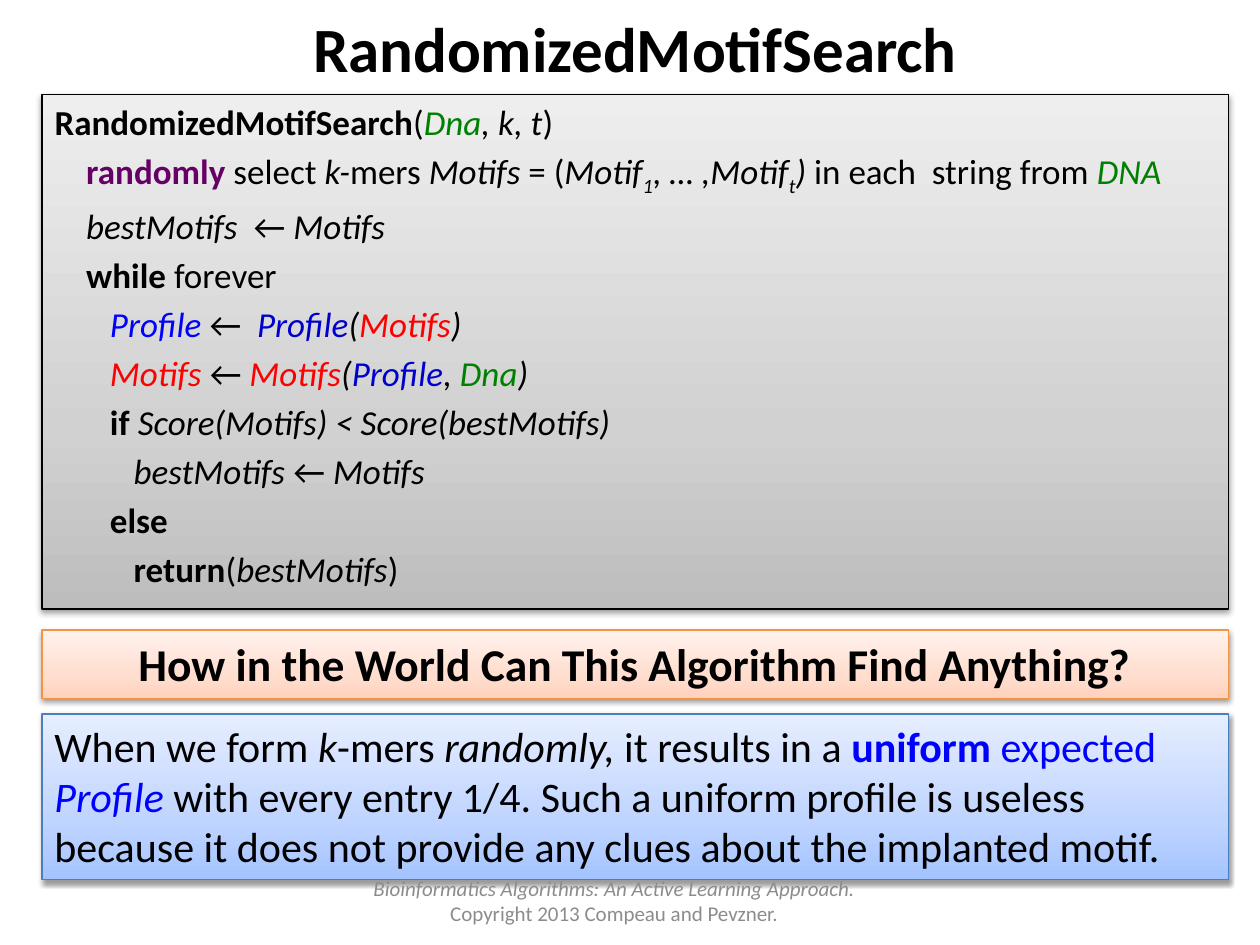
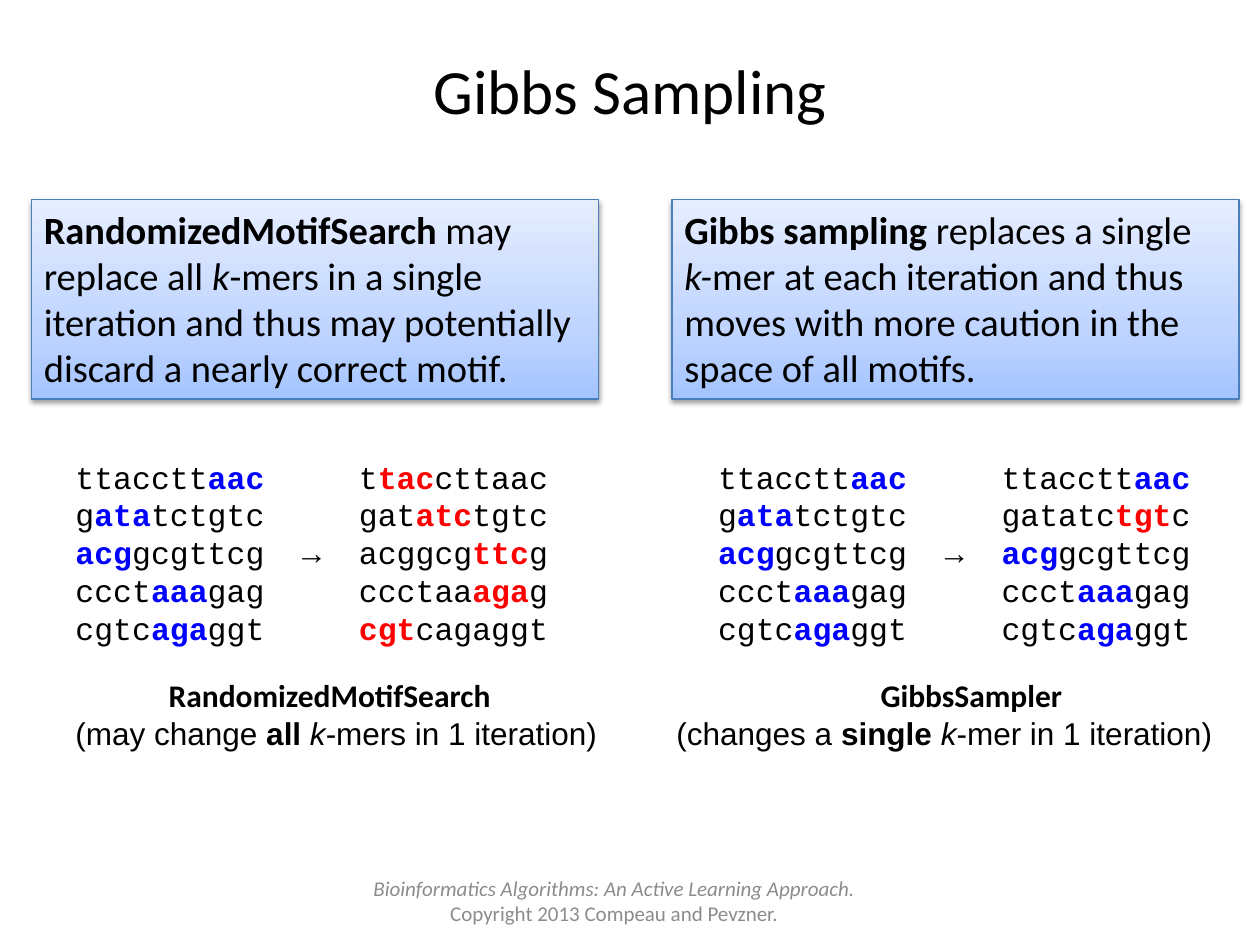
from copy import deepcopy
from dataclasses import dataclass
from typing import NamedTuple

from lxml import etree
from pptx import Presentation
from pptx.dml.color import RGBColor
from pptx.enum.shapes import MSO_SHAPE
from pptx.enum.text import MSO_ANCHOR, MSO_AUTO_SIZE, PP_ALIGN
from pptx.oxml.ns import qn
from pptx.util import Inches, Pt

RECT = MSO_SHAPE.RECTANGLE
TOP, MIDDLE = MSO_ANCHOR.TOP, MSO_ANCHOR.MIDDLE
LEFT, CENTER = PP_ALIGN.LEFT, PP_ALIGN.CENTER
FIXED = MSO_AUTO_SIZE.NONE
CELL = Inches(1) // 12


class Skin(NamedTuple):
    stops: tuple[str, str, str]
    edge: str


@dataclass(frozen=True)
class Theme:
    black: str = "000000"
    gray: str = "8C8C8C"
    green: str = "008000"
    plum: str = "660066"
    blue: str = "0000FF"
    navy: str = "0000CC"
    red: str = "FF0000"
    steel: Skin = Skin(("BDBDBD", "D1D1D1", "EEEEEE"), "000000")
    peach: Skin = Skin(("FFD2BD", "FFDED0", "FFF2ED"), "F69240")
    sky: Skin = Skin(("A4C4FF", "BFD4FF", "E6EEFF"), "4B7EBC")
    font: str = "Calibri"
    plain: str = "Arial"
    mono: str = "Courier New"
    title: int = 36
    ask: int = 26
    note: int = 24
    card: int = 22
    code: int = 20
    dna: int = 18
    foot: int = 12


ART = Theme()
PITCH = Pt(ART.dna * 0.6)


class Box(NamedTuple):
    col: float
    row: float
    wide: float
    high: float

    def spot(self) -> list[int]:
        return [int(n * CELL) for n in self]


class Bit(NamedTuple):
    text: str
    look: str = ""
    tone: str = ART.black


class Card(NamedTuple):
    box: Box
    skin: Skin
    size: int
    bits: list[Bit]
    align: int = LEFT


def write(para, bits: list[Bit], size: int, font: str = ART.font) -> None:
    for bit in bits:
        run = para.add_run()
        run.text = bit.text
        run.font.name, run.font.size = font, Pt(size)
        run.font.bold, run.font.italic = "b" in bit.look, "i" in bit.look
        run.font.color.rgb = RGBColor.from_string(bit.tone)
        if "s" in bit.look:
            run._r.get_or_add_rPr().set("baseline", "-25000")


def frame(shape, anchor=TOP):
    text = shape.text_frame
    text.word_wrap, text.auto_size = True, FIXED
    text.vertical_anchor = anchor
    return text


def line(text, first: bool):
    return text.paragraphs[0] if first else text.add_paragraph()


def place(shape, box: Box) -> None:
    shape.left, shape.top, shape.width, shape.height = box.spot()


def paint(shape, skin: Skin) -> None:
    fill = shape.fill
    fill.gradient()
    fill.gradient_angle = 90
    stops = shape._element.spPr.find(".//" + qn("a:gsLst"))
    stops.append(deepcopy(stops[0]))
    for stop, at, tone in zip(fill.gradient_stops, (0, 0.35, 1), skin.stops):
        stop.position = at
        stop.color.rgb = RGBColor.from_string(tone)
    shape.line.color.rgb = RGBColor.from_string(skin.edge)
    shape.line.width = Pt(0.75)
    shape.shadow.inherit = False
    list_ = shape._element.spPr.find(qn("a:effectLst"))
    shade = etree.SubElement(list_, qn("a:outerShdw"), blurRad=str(Pt(3.1)),
                             dist=str(Pt(1.6)), dir="5400000", rotWithShape="0")
    tone = etree.SubElement(shade, qn("a:srgbClr"), val=ART.black)
    etree.SubElement(tone, qn("a:alpha"), val="38000")


def head(slide, box: Box, words: str, look: str = "") -> None:
    place(slide.shapes.title, box)
    para = frame(slide.shapes.title, MIDDLE).paragraphs[0]
    para.alignment = CENTER
    write(para, [Bit(words, look)], ART.title)


def foot(slide) -> None:
    area = slide.shapes.add_textbox(*Box(31, 83.4, 55, 4.8).spot())
    text = frame(area, MIDDLE)
    rows = [("Bioinformatics Algorithms: An Active Learning Approach.", "i"),
            ("Copyright 2013 Compeau and Pevzner.", "")]
    for n, (words, look) in enumerate(rows):
        para = line(text, n == 0)
        para.alignment = CENTER
        write(para, [Bit(words, look, ART.gray)], ART.foot)


def panel(slide, card: Card) -> None:
    shape = slide.shapes.add_shape(RECT, *card.box.spot())
    paint(shape, card.skin)
    para = frame(shape).paragraphs[0]
    para.alignment = card.align
    write(para, card.bits, card.size)


CODE = [
    [Bit("RandomizedMotifSearch", "b"), Bit("("), Bit("Dna", "i", ART.green),
     Bit(", k, t", "i"), Bit(")")],
    [Bit("    randomly ", "b", ART.plum), Bit("select "), Bit("k-", "i"),
     Bit("mers "), Bit("Motifs ", "i"), Bit("= ("), Bit("Motif", "i"),
     Bit("1", "is"), Bit(", … ,Motif", "i"), Bit("t", "is"), Bit(") ", "i"),
     Bit("in each  string from "), Bit("DNA", "i", ART.green)],
    [Bit("    bestMotifs  ", "i"), Bit("← "), Bit("Motifs", "i")],
    [Bit("    while ", "b"), Bit("forever")],
    [Bit("       Profile ", "i", ART.blue), Bit("←  "),
     Bit("Profile", "i", ART.navy), Bit("(", "i"),
     Bit("Motifs", "i", ART.red), Bit(")", "i")],
    [Bit("       Motifs ", "i", ART.red), Bit("← "),
     Bit("Motifs", "i", ART.red), Bit("(", "i"),
     Bit("Profile", "i", ART.navy), Bit(", ", "i"),
     Bit("Dna", "i", ART.green), Bit(")", "i")],
    [Bit("       if ", "b"), Bit("Score(Motifs) < Score(bestMotifs)", "i")],
    [Bit("          bestMotifs ", "i"), Bit("← "), Bit("Motifs", "i")],
    [Bit("       else", "b")],
    [Bit("          return", "b"), Bit("("), Bit("bestMotifs", "i"), Bit(")")],
]

NOTES = [
    Card(Box(4, 60, 113, 6.5), ART.peach, ART.ask,
         [Bit("How in the World Can This Algorithm Find Anything?", "b")], CENTER),
    Card(Box(4, 68, 113, 15.75), ART.sky, ART.note,
         [Bit("When we form "), Bit("k", "i"), Bit("-mers "),
          Bit("randomly,", "i"), Bit(" it results in a "),
          Bit("uniform", "b", ART.blue), Bit(" expected ", "", ART.blue),
          Bit("Profile ", "i", ART.blue),
          Bit("with every entry 1/4. Such a uniform profile is useless because "
              "it does not provide any clues about the implanted motif.")]),
]

PAIR = [
    Card(Box(3, 19, 54, 19), ART.sky, ART.card,
         [Bit("RandomizedMotifSearch", "b"), Bit(" may replace all "),
          Bit("k", "i"),
          Bit("-mers in a single iteration and thus may potentially "
              "discard a nearly correct motif.")]),
    Card(Box(64, 19, 54, 19), ART.sky, ART.card,
         [Bit("Gibbs sampling", "b"), Bit(" replaces a single "),
          Bit("k-", "i"),
          Bit("mer at each iteration and thus moves with more caution "
              "in the space of all motifs.")]),
]

DNA = ["ttaccttaac", "gatatctgtc", "acggcgttcg", "ccctaaagag", "cgtcagaggt"]
OLD = [7, 1, 0, 4, 4]
ALL = [1, 3, 6, 6, 0]
ONE = [7, 6, 0, 4, 4]
STEPS = [OLD, ALL, OLD, ONE]
MER = 3
STARTS = [15, 34, 49]
ARROWS = [12, 46]


def motif(row: int, at: int) -> list[Bit]:
    word, end = DNA[row], at + MER
    tone = ART.blue if at == OLD[row] else ART.red
    bits = [Bit(word[:at]), Bit(word[at:end], "b", tone), Bit(word[end:])]
    return [bit for bit in bits if bit.text]


def tabs(para, stops: list[int]) -> None:
    rule = etree.SubElement(para._p.get_or_add_pPr(), qn("a:tabLst"))
    for stop in stops:
        etree.SubElement(rule, qn("a:tab"), pos=str(int(stop)), algn="l")


def strands(slide) -> None:
    area = slide.shapes.add_textbox(*Box(6, 43, 111, 29.5).spot())
    text = frame(area)
    mid = len(DNA) // 2
    for row in range(len(DNA)):
        para = line(text, row == 0)
        spots = sorted(STARTS + ARROWS) if row == mid else STARTS
        tabs(para, [n * PITCH for n in spots])
        for n, step in enumerate(STEPS):
            if n:
                arrow = row == mid and n % 2
                write(para, [Bit("\t→\t" if arrow else "\t")], ART.dna, ART.mono)
            write(para, motif(row, step[row]), ART.dna, ART.mono)
    names = text.add_paragraph()
    names.space_before = Pt(17)
    tabs(names, [Inches(0.74), Inches(6.39)])
    write(names, [Bit("\tRandomizedMotifSearch\tGibbsSampler", "b")], ART.dna)
    hints = text.add_paragraph()
    tabs(hints, [Inches(4.77)])
    write(hints, [Bit("(may change "), Bit("all ", "b"), Bit("k", "i"),
                  Bit("-mers in 1 iteration)\t(changes a "),
                  Bit("single ", "b"), Bit("k", "i"),
                  Bit("-mer in 1 iteration)")], ART.dna, ART.plain)


def search(slide) -> None:
    head(slide, Box(6.5, 0, 108, 9), "RandomizedMotifSearch", "b")
    body = slide.placeholders[1]
    place(body, Box(4, 9, 113, 49))
    paint(body, ART.steel)
    text = frame(body)
    for n, bits in enumerate(CODE):
        para = line(text, n == 0)
        props = para._p.get_or_add_pPr()
        props.set("marL", "0")
        props.set("indent", "0")
        etree.SubElement(props, qn("a:buNone"))
        para.space_before = Pt(4 if n else 0)
        write(para, bits, ART.code)
    for card in NOTES:
        panel(slide, card)
    foot(slide)


def gibbs(slide) -> None:
    head(slide, Box(6, 1, 108, 15), "Gibbs Sampling")
    strands(slide)
    for card in PAIR:
        panel(slide, card)
    foot(slide)


def main() -> None:
    deck = Presentation()
    deck.slide_width, deck.slide_height = 120 * CELL, 90 * CELL
    search(deck.slides.add_slide(deck.slide_layouts[1]))
    gibbs(deck.slides.add_slide(deck.slide_layouts[5]))
    deck.save("out.pptx")


if __name__ == "__main__":
    main()
